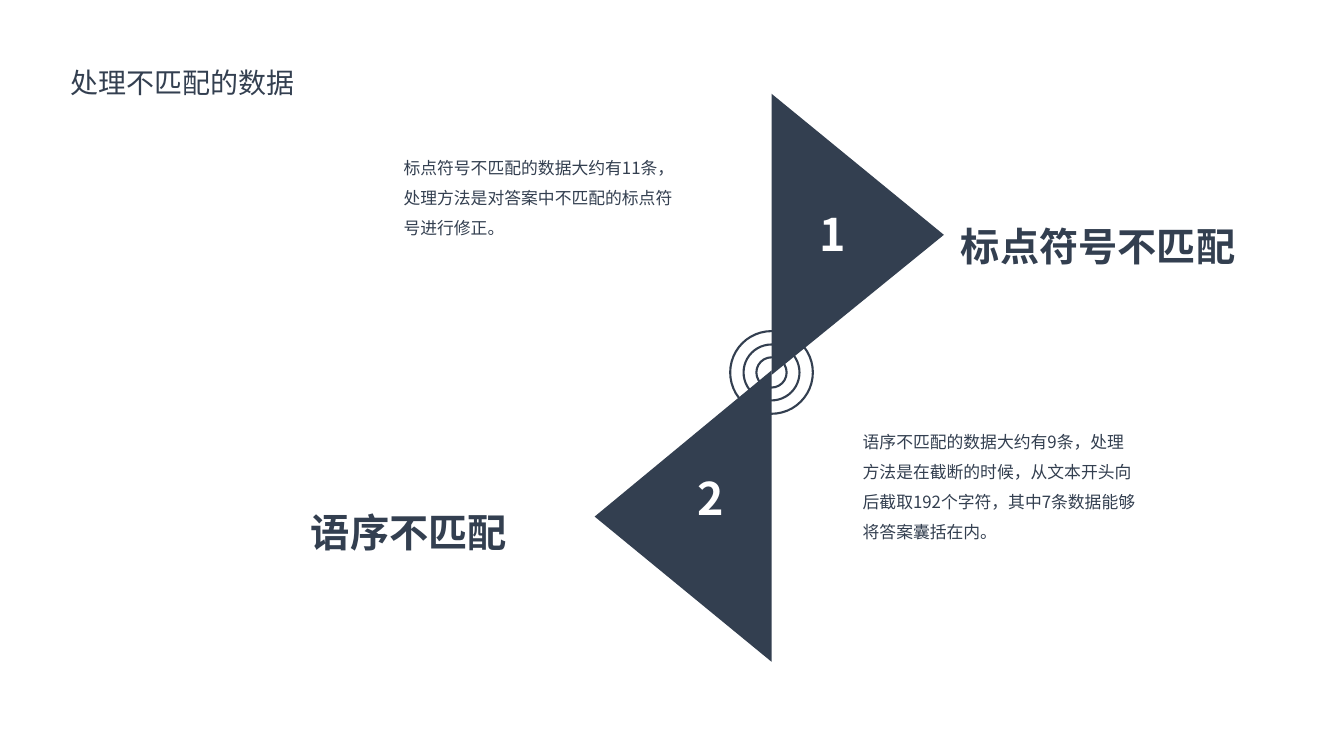
from lxml.etree import SubElement
from pptx import Presentation
from pptx.dml.color import RGBColor
from pptx.enum.shapes import MSO_SHAPE
from pptx.enum.text import MSO_AUTO_SIZE, PP_ALIGN
from pptx.oxml.ns import qn
from pptx.util import Inches, Pt

NAVY = RGBColor(0x33, 0x3F, 0x50)
WHITE = RGBColor(0xFF, 0xFF, 0xFF)
FACE = "Noto Sans CJK SC"

STYLES = {
    "title": {"size": Pt(40), "bold": False},
    "head": {"size": Pt(56), "bold": True},
    "body": {"size": Pt(24), "bold": False},
    "digit": {"size": Pt(64), "bold": True},
}
WINGS = [
    ("1", (16.15, 4.01, 0.75, 1.28), [(15.31, 1.86), (18.73, 4.66), (15.31, 7.44)]),
    ("2", (13.73, 9.24, 0.75, 1.28), [(15.31, 13.13), (11.8, 10.25), (15.31, 7.35)]),
]
TEXTS = [
    ("head", "语序不匹配", (6.07, 9.52, 6.39, 1.61)),
    ("head", "标点符号不匹配", (18.97, 3.84, 6.39, 1.61)),
    ("body", "标点符号不匹配的数据大约有11条，处理方法是对答案中不匹配的标点符号进行修正。",
     (7.91, 2.82, 5.65, 2.02)),
    ("body", "语序不匹配的数据大约有9条，处理方法是在截断的时候，从文本开头向后截取192个字符，其中7条数据能够将答案囊括在内。",
     (17.02, 8.26, 5.65, 2.62)),
    ("title", "处理不匹配的数据", (1.31, 0.87, 6.19, 1.21)),
]
HUB = (15.31, 7.39)
RINGS = [1.64, 1.11, 0.6]


def add_text(shapes, style, words, box):
    frame = shapes.add_textbox(*map(Inches, box)).text_frame
    digit = style == "digit"
    look = {
        "word_wrap": not digit,
        "auto_size": MSO_AUTO_SIZE.SHAPE_TO_FIT_TEXT,
        "margin_left": Inches(0.1),
        "margin_right": Inches(0.1),
        "margin_top": Inches(0.1),
        "margin_bottom": Inches(0.1),
    }
    for name, value in look.items():
        setattr(frame, name, value)
    para = frame.paragraphs[0]
    para.alignment = PP_ALIGN.CENTER if digit else PP_ALIGN.LEFT
    para.line_spacing = 1.0 if digit else 1.5
    run = para.add_run()
    run.text = words
    for name, value in {"name": FACE, **STYLES[style]}.items():
        setattr(run.font, name, value)
    run.font.color.rgb = WHITE if digit else NAVY
    SubElement(run.font._element, qn("a:ea"), typeface=FACE)


def add_wing(shapes, digit, box, points):
    group = shapes.add_group_shape().shapes
    start, *rest = [(Inches(x), Inches(y)) for x, y in points]
    pen = group.build_freeform(*start)
    pen.add_line_segments(rest, close=True)
    wing = pen.convert_to_shape()
    wing.shadow.inherit = False
    wing.fill.solid()
    wing.fill.fore_color.rgb = NAVY
    wing.line.fill.background()
    add_text(group, "digit", digit, box)


def add_rings(shapes):
    group = shapes.add_group_shape().shapes
    for size in RINGS:
        left, top = (Inches(mid - size / 2) for mid in HUB)
        ring = group.add_shape(MSO_SHAPE.OVAL, left, top, Inches(size), Inches(size))
        ring.shadow.inherit = False
        ring.fill.background()
        ring.line.color.rgb = NAVY
        ring.line.width = Pt(3)


def main():
    deck = Presentation()
    deck.slide_width = Inches(26.67)
    deck.slide_height = Inches(15)
    shapes = deck.slides.add_slide(deck.slide_layouts[6]).shapes
    for wing in WINGS:
        add_wing(shapes, *wing)
    *labels, title = TEXTS
    for label in labels:
        add_text(shapes, *label)
    add_rings(shapes)
    add_text(shapes, *title)
    deck.save("out.pptx")


if __name__ == "__main__":
    main()
